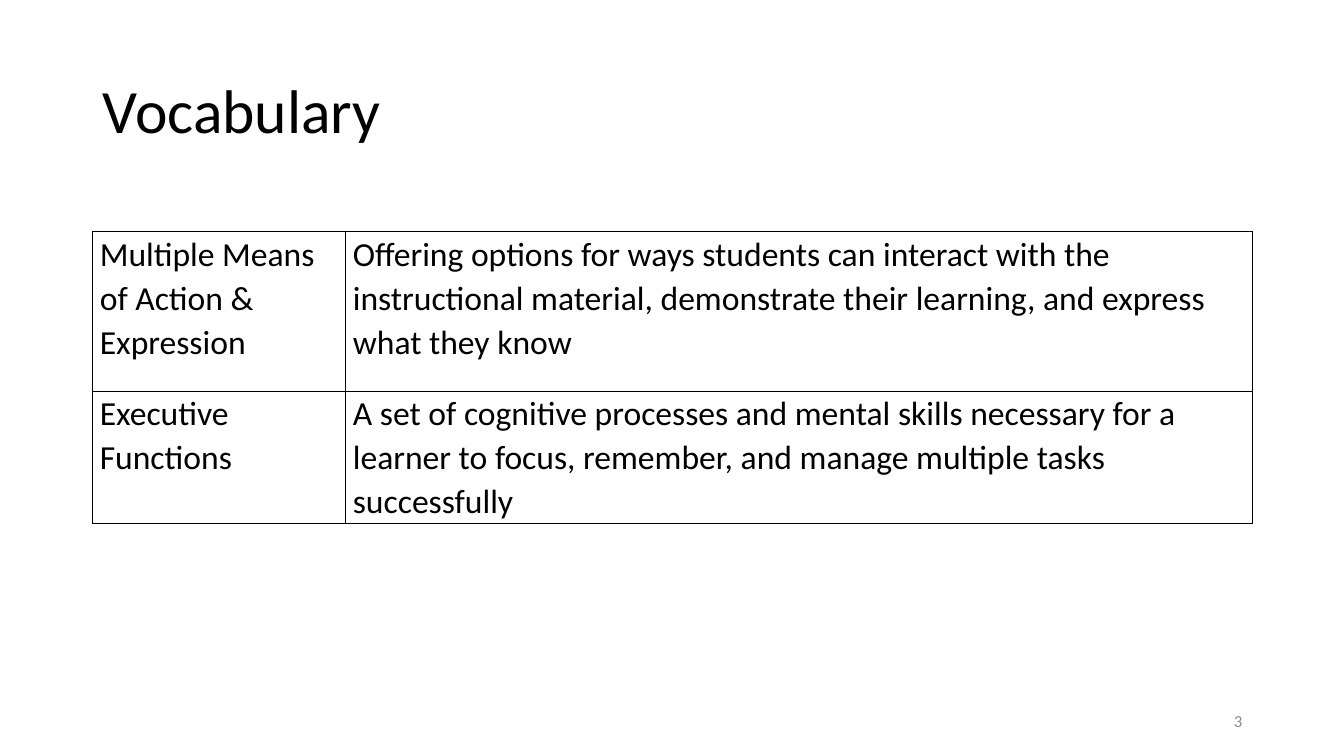
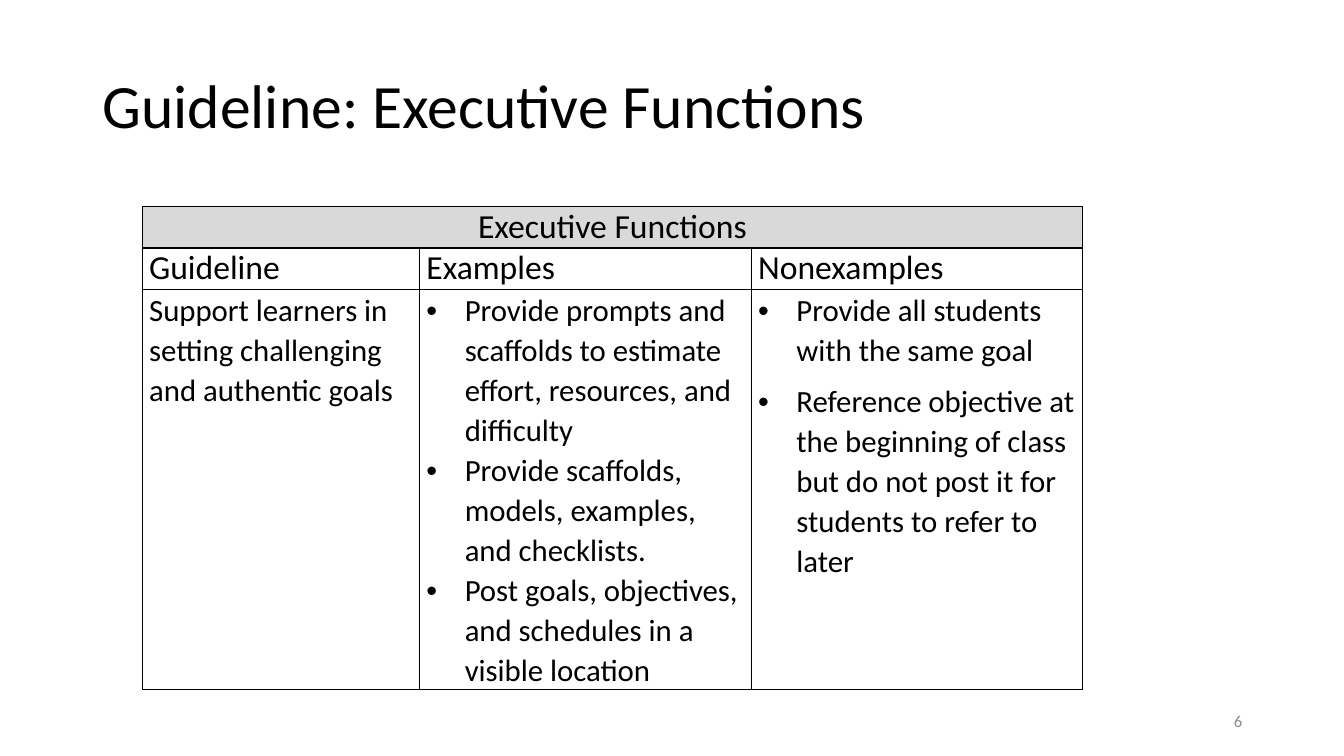
from lxml import etree
from pptx import Presentation
from pptx.dml.color import RGBColor
from pptx.enum.text import MSO_ANCHOR, PP_ALIGN
from pptx.oxml.ns import qn
from pptx.util import Inches, Pt

LEFT, CENTER, RIGHT = PP_ALIGN.LEFT, PP_ALIGN.CENTER, PP_ALIGN.RIGHT
MIDDLE = MSO_ANCHOR.MIDDLE

FONT = "Calibri"
COLORS = {"text": "000000", "line": "000000", "head": "D9D9D9", "page": "8C8C8C"}
INDENT = Inches(0.38)


def add_run(para, text, size, color="text"):
    run = para.add_run()
    run.text = text
    run.font.name = FONT
    run.font.size = Pt(size)
    run.font.color.rgb = RGBColor.from_string(COLORS[color])


def add_label(slide, box, text, size, color="text", align=LEFT, spacing=1.0):
    frame = slide.shapes.add_textbox(*map(Inches, box)).text_frame
    frame.word_wrap = True
    frame.vertical_anchor = MIDDLE
    para = frame.paragraphs[0]
    para.alignment = align
    para.line_spacing = spacing
    add_run(para, text, size, color)


def add_page(deck, title, top, number):
    """Add a slide with its title and page number."""
    slide = deck.slides.add_slide(deck.slide_layouts[6])
    add_label(slide, (0.92, top, 11.5, 1.45), title, 44, spacing=0.9)
    add_label(slide, (9.42, 6.95, 3, 0.4), number, 12, "page", RIGHT)
    return slide


def set_border(cell):
    props = cell._tc.get_or_add_tcPr()
    for side in ("a:lnL", "a:lnR", "a:lnT", "a:lnB"):
        line = etree.SubElement(props, qn(side), w=str(Pt(1)))
        fill = etree.SubElement(line, qn("a:solidFill"))
        etree.SubElement(fill, qn("a:srgbClr"), val=COLORS["line"])


def set_bullet(para):
    props = para._p.get_or_add_pPr()
    props.set("marL", str(INDENT))
    props.set("indent", str(-INDENT))
    etree.SubElement(props, qn("a:buFont"), typeface="Arial")
    etree.SubElement(props, qn("a:buChar"), char="•")


def add_grid(slide, left, top, widths, heights):
    """Add a plain table with thin borders and no fill."""
    frame = slide.shapes.add_table(
        len(heights), len(widths), Inches(left), Inches(top),
        Inches(sum(widths)), Inches(sum(heights)))
    table = frame.table
    table.first_row = table.horz_banding = False
    for col, width in zip(table.columns, widths):
        col.width = Inches(width)
    for row, height in zip(table.rows, heights):
        row.height = Inches(height)
    for cell in table.iter_cells():
        cell.margin_left = cell.margin_right = Inches(0.07)
        cell.margin_top = cell.margin_bottom = 0
        set_border(cell)
        cell.fill.background()
    return table


def fill_cell(cell, lines, size=24, spacing=1.07, align=LEFT, bullet=False, gap=0):
    frame = cell.text_frame
    for i, text in enumerate(lines):
        para = frame.add_paragraph() if i else frame.paragraphs[0]
        para.alignment = align
        para.line_spacing = spacing
        if i:
            para.space_before = Pt(gap)
        if bullet:
            set_bullet(para)
        add_run(para, text, size)


def add_terms(deck):
    slide = add_page(deck, "Vocabulary", 0.4, "3")
    table = add_grid(slide, 0.92, 2.3, (2.51, 8.99), (1.58, 1.31))
    terms = (
        ("Multiple Means of Action & Expression",
         "Offering options for ways students can interact with the instructional "
         "material, demonstrate their learning, and express what they know"),
        ("Executive Functions",
         "A set of cognitive processes and mental skills necessary for a learner "
         "to focus, remember, and manage multiple tasks successfully"),
    )
    for r, row in enumerate(terms):
        for c, text in enumerate(row):
            fill_cell(table.cell(r, c), [text])


def add_guide(deck):
    slide = add_page(deck, "Guideline: Executive Functions", 0.35, "6")
    table = add_grid(slide, 1.41, 2.05, (2.75, 3.29, 3.29), (0.41, 0.41, 3.97))

    # Heading across all columns
    head = table.cell(0, 0)
    head.merge(table.cell(0, 2))
    head.fill.solid()
    head.fill.fore_color.rgb = RGBColor.from_string(COLORS["head"])
    fill_cell(head, ["Executive Functions"], spacing=1.0, align=CENTER)

    # Column name, lines, bullets, gap between lines
    columns = (
        ("Guideline",
         ["Support learners in setting challenging and authentic goals"], False, 0),
        ("Examples",
         ["Provide prompts and scaffolds to estimate effort, resources, and difficulty",
          "Provide scaffolds, models, examples, and checklists.",
          "Post goals, objectives, and schedules in a visible location"], True, 0),
        ("Nonexamples",
         ["Provide all students with the same goal",
          "Reference objective at the beginning of class but do not post it for "
          "students to refer to later"], True, 8),
    )
    for c, (name, lines, bullet, gap) in enumerate(columns):
        fill_cell(table.cell(1, c), [name], spacing=1.0)
        fill_cell(table.cell(2, c), lines, size=22, bullet=bullet, gap=gap)


def main():
    deck = Presentation()
    deck.slide_width, deck.slide_height = Inches(13.33), Inches(7.5)
    add_terms(deck)
    add_guide(deck)
    deck.save("out.pptx")


if __name__ == "__main__":
    main()
